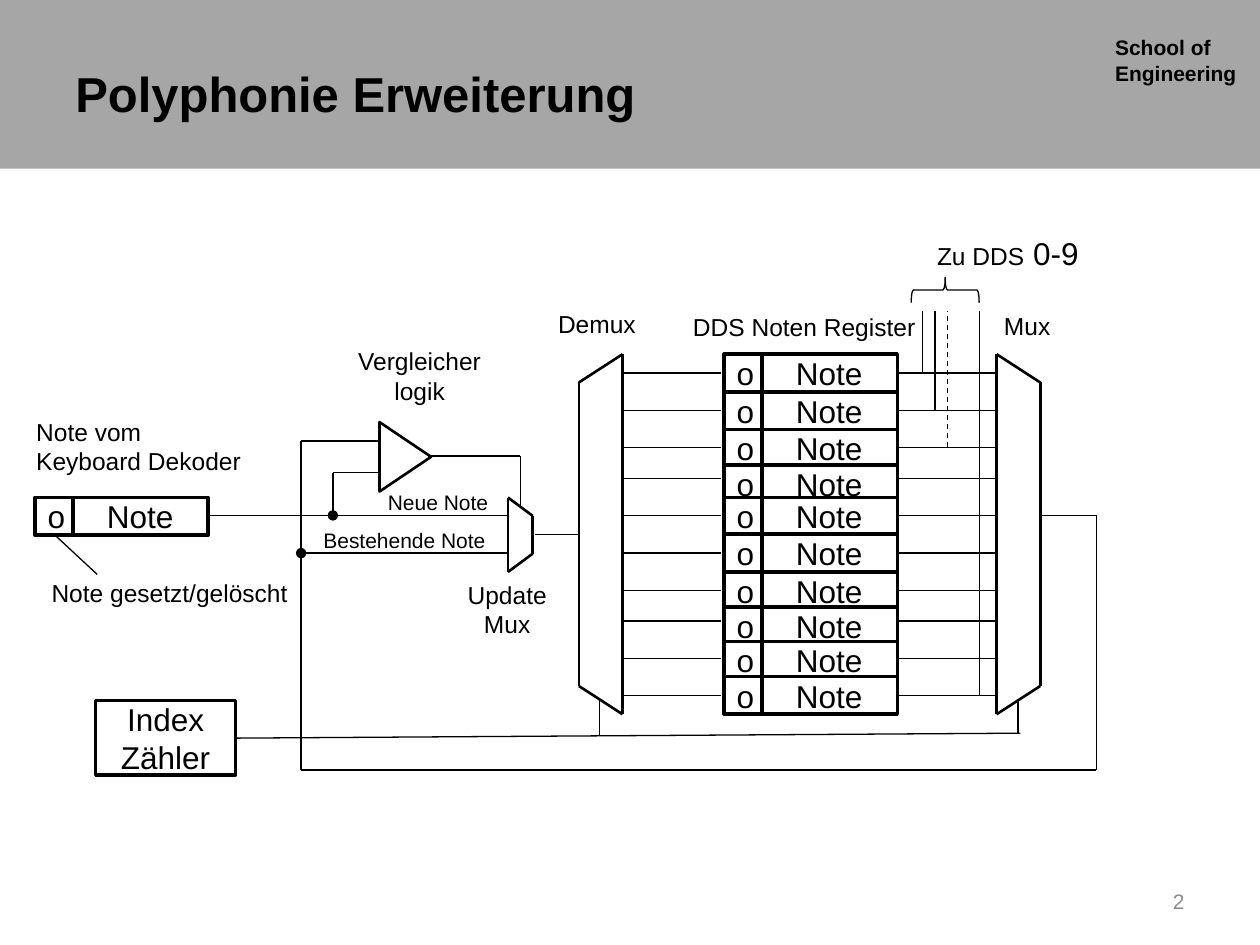
from copy import deepcopy
from itertools import pairwise

from lxml.etree import SubElement
from pptx import Presentation
from pptx.dml.color import RGBColor
from pptx.enum.dml import MSO_LINE
from pptx.enum.shapes import MSO_CONNECTOR, MSO_SHAPE as SHAPE
from pptx.enum.text import MSO_ANCHOR as ANCHOR, PP_ALIGN as ALIGN
from pptx.oxml.ns import qn
from pptx.util import Cm, Pt

BLACK = RGBColor(0x00, 0x00, 0x00)
WHITE = RGBColor(0xFF, 0xFF, 0xFF)
BAND = RGBColor(0xA6, 0xA6, 0xA6)
MUTED = RGBColor(0x8C, 0x8C, 0x8C)

# Row offsets in cm below the top of the register stack
CELL_ROWS = [0, 0.76, 1.52, 2.23, 2.89, 3.63, 4.39, 5.1, 5.79, 6.5]
WIRE_ROWS = [0.38, 1.14, 1.88, 2.51, 3.25, 4.01, 4.77, 5.38, 6.14, 6.88]


def format_run(r, size, color=BLACK, bold=False):
    r.font.name, r.font.size, r.font.bold = "Arial", Pt(size), bold
    r.font.color.rgb = color


def write(tf, text, size=18, color=BLACK, bold=False, align=ALIGN.LEFT, anchor=ANCHOR.TOP):
    """Fill a text frame; \\n starts a paragraph, \\v breaks a line."""
    tf.text = text
    tf.vertical_anchor = anchor
    for p in tf.paragraphs:
        p.alignment = align
        for r in p.runs:
            format_run(r, size, color, bold)
        for br in p._p.findall(qn("a:br")):
            br.append(deepcopy(p.runs[0].font._element))


def label(s, x, y, w, h, text, size=14, wrap=False, **fmt):
    tf = s.shapes.add_textbox(Cm(x), Cm(y), Cm(w), Cm(h)).text_frame
    tf.word_wrap = wrap
    write(tf, text, size, **fmt)
    return tf


def shape(s, kind, x, y, w, h, fill=WHITE, line=2.0, rotation=0):
    sp = s.shapes.add_shape(kind, Cm(x), Cm(y), Cm(w), Cm(h))
    sp.shadow.inherit = False
    sp.rotation = rotation
    if fill is None:
        sp.fill.background()
    else:
        sp.fill.solid()
        sp.fill.fore_color.rgb = fill
    if line:
        sp.line.color.rgb, sp.line.width = BLACK, Pt(line)
    else:
        sp.line.fill.background()
    return sp


def box(s, x, y, w, h, text):
    sp = shape(s, SHAPE.RECTANGLE, x, y, w, h)
    write(sp.text_frame, text, align=ALIGN.CENTER, anchor=ANCHOR.MIDDLE)


def wire(s, *points, width=0.75, dashed=False, dot=False):
    """Join the points with straight lines; dot marks a junction at the start."""
    for (x1, y1), (x2, y2) in pairwise(points):
        c = s.shapes.add_connector(MSO_CONNECTOR.STRAIGHT, Cm(x1), Cm(y1), Cm(x2), Cm(y2))
        c.line.color.rgb, c.line.width = BLACK, Pt(width)
        if dashed:
            c.line.dash_style = MSO_LINE.DASH
        if dot:
            SubElement(c.line._get_or_add_ln(), qn("a:headEnd"), type="oval")
        SubElement(c._element.spPr, qn("a:effectLst"))


def note_cell(s, x, y):
    box(s, x + 0.74, y, 2.75, 0.76, "Note")
    box(s, x, y, 0.76, 0.76, "o")


def multiplexer(s, x_long, x_short, y, h, inset):
    wire(s, (x_long, y), (x_short, y + inset), (x_short, y + h - inset),
         (x_long, y + h), (x_long, y), width=1.5)


def header(s, w, h):
    shape(s, SHAPE.RECTANGLE, 0, 0, w, h, BAND, line=0)
    label(s, w - 3.17, 0.58, 3.17, 1.3, "School of\vEngineering", 12, True, bold=True)
    label(s, 1.27, 0.76, 17.37, 2.21, "Polyphonie Erweiterung", 28, True,
          bold=True, anchor=ANCHOR.MIDDLE)


def register_bank(s, x, y):
    """Demux, ten note registers, mux and the taps to the DDS blocks."""
    for row in CELL_ROWS:
        note_cell(s, x, y + row)
    mux, demux = x + 5.49, x - 2.05
    for row in WIRE_ROWS:
        wire(s, (x + 3.51, y + row), (mux, y + row))
        wire(s, (x - 0.07, y + row), (demux, y + row))
    multiplexer(s, mux, mux + 0.88, y, 7.26, 0.57)
    multiplexer(s, demux, demux - 0.88, y, 7.26, 0.57)

    for dx, row in [(3.99, 0), (4.25, 1), (4.5, 2), (5.14, 9)]:
        wire(s, (x + dx, y + WIRE_ROWS[row]), (x + dx, y - 0.87), dashed=row == 2)
    shape(s, SHAPE.RIGHT_BRACE, x + 4.2, y - 1.98, 0.51, 1.37, None, 0.75, 270)
    tf = label(s, x + 4.04, y - 2.54, 3.38, 1.02, "Zu DDS")
    r = tf.paragraphs[0].add_run()
    r.text = " 0-9"
    format_run(r, 18)
    label(s, x - 3.6, y - 1.04, 2.08, 0.86, "Demux")
    label(s, x - 0.88, y - 0.97, 5.28, 0.86, "DDS Noten Register", wrap=True)
    label(s, x + 5.39, y - 0.99, 1.45, 0.86, "Mux")


def note_input(s, x, y):
    note_cell(s, x, y)
    wire(s, (x + 0.38, y + 0.74), (x + 1.25, y + 1.55))
    label(s, x - 0.23, y - 1.75, 5.11, 1.45, "Note vom\vKeyboard Dekoder", wrap=True)
    label(s, x + 0.08, y + 1.5, 5.28, 0.86, "Note gesetzt/gelöscht")


def update_stage(s, x, y):
    """Comparator and update mux, with x, y at the feedback junction."""
    new, mux = y - 0.76, x + 4.17
    multiplexer(s, mux, mux + 0.5, y - 1.12, 1.5, 0.37)
    wire(s, (mux + 0.55, y - 0.38), (x + 5.59, y - 0.38))
    wire(s, (mux, new), (x - 1.88, new))
    shape(s, SHAPE.ISOSCELES_TRIANGLE, x + 1.4, y - 2.46, 1.4, 1.04, line=1.5, rotation=90)
    wire(s, (x, y), (x, y - 2.26), dot=True)
    wire(s, (x, y - 2.26), (x + 1.55, y - 2.26))
    wire(s, (x + 0.64, new), (x + 0.64, y - 1.62), dot=True)
    wire(s, (x + 0.64, y - 1.62), (x + 1.55, y - 1.62))
    wire(s, (x + 2.59, y - 1.96), (x + 4.42, y - 1.96), (x + 4.42, y - 0.94))
    label(s, x + 0.89, y - 4.29, 3, 1.45, "Vergleicher\vlogik", align=ALIGN.CENTER)
    label(s, x + 3.1, y + 0.41, 2.11, 1.45, "Update\vMux", align=ALIGN.CENTER)
    label(s, x + 0.2, y - 0.63, 3.81, 0.76, "Bestehende Note", 12)
    label(s, x + 1.5, y - 1.4, 2.54, 0.76, "Neue Note", 12)


def index_counter(s, x, y):
    box(s, x, y, 2.82, 1.5, "Index\nZähler")
    wire(s, (x + 2.8, y + 0.76), (x + 18.64, y + 0.66))
    wire(s, (x + 10.16, y - 0.05), (x + 10.16, y + 0.69))
    wire(s, (x + 18.59, y), (x + 18.59, y + 0.66))


prs = Presentation()
prs.slide_width, prs.slide_height = Cm(25.4), Cm(19.05)
s = prs.slides.add_slide(prs.slide_layouts[6])

header(s, 25.4, 3.4)
register_bank(s, 14.6, 7.14)
# Feedback from mux to update stage
wire(s, (20.97, 10.39), (22.1, 10.39), (22.1, 15.52), (6.07, 15.52), (6.07, 11.15), (10.24, 11.15))
update_stage(s, 6.07, 11.15)
note_input(s, 0.71, 10.03)
index_counter(s, 1.93, 14.12)
# Slide number
label(s, 18.21, 17.65, 5.92, 1.02, "2", 12, True, color=MUTED,
      align=ALIGN.RIGHT, anchor=ANCHOR.MIDDLE)

prs.save("out.pptx")
